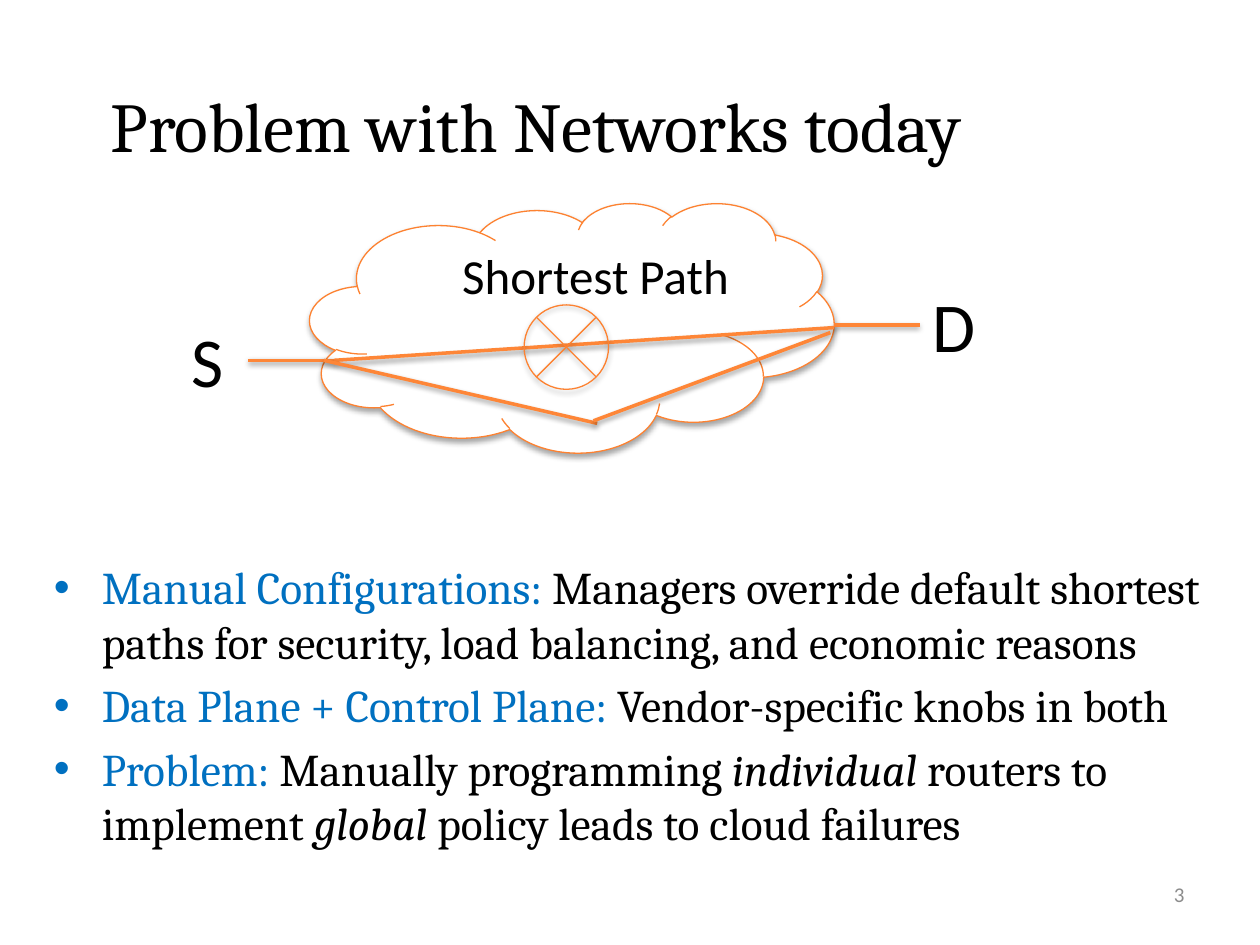
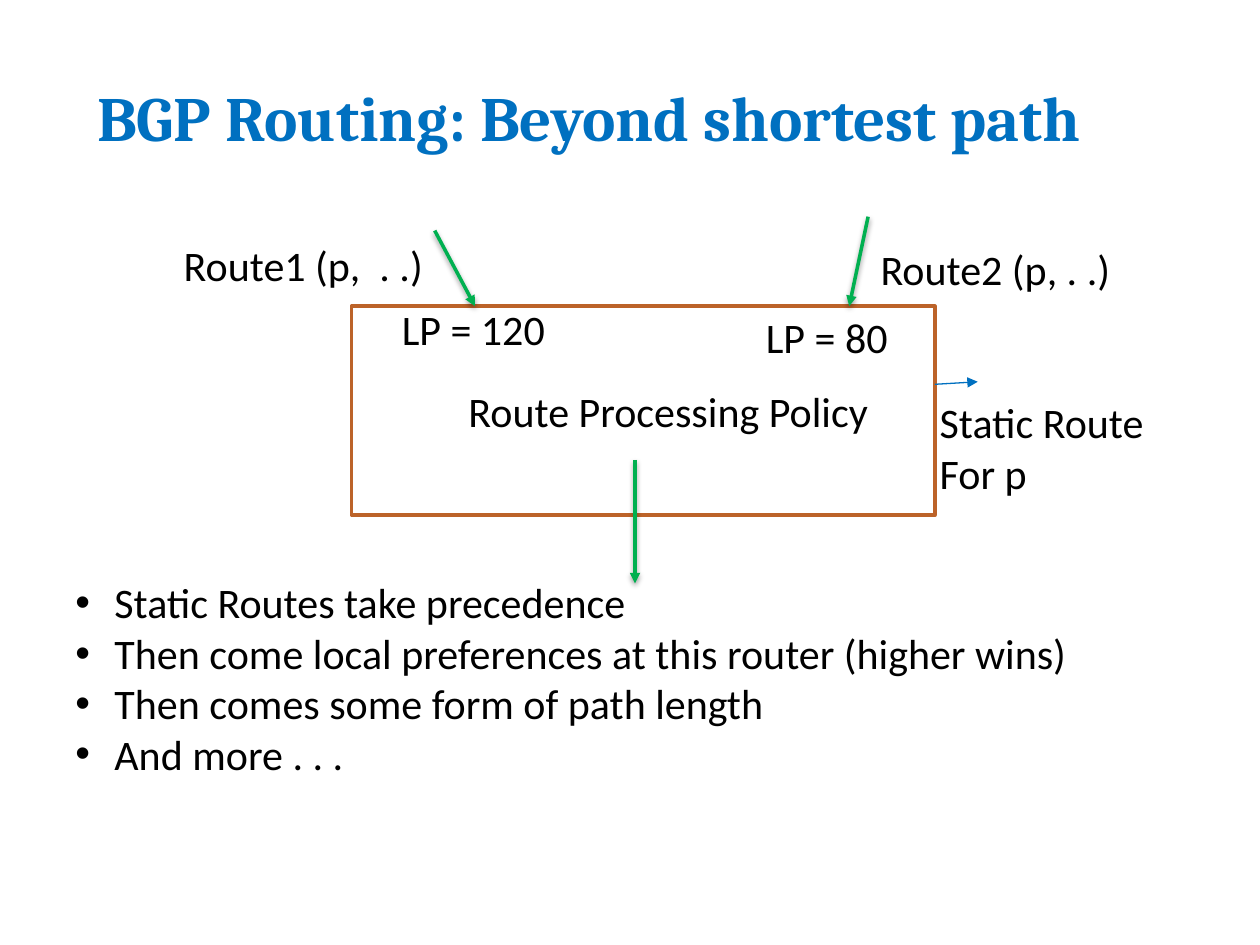
from lxml import etree
from pptx import Presentation
from pptx.dml.color import RGBColor
from pptx.enum.shapes import MSO_CONNECTOR, MSO_SHAPE
from pptx.enum.text import MSO_ANCHOR, PP_ALIGN
from pptx.oxml.ns import qn
from pptx.util import Inches, Pt

# Shared colours, fonts and enum members
BLACK = RGBColor(0x00, 0x00, 0x00)
WHITE = RGBColor(0xFF, 0xFF, 0xFF)
GREY = RGBColor(0x8C, 0x8C, 0x8C)
BLUE = RGBColor(0x00, 0x70, 0xC0)
GREEN = RGBColor(0x00, 0xB0, 0x50)
CLOUD_ORANGE = RGBColor(0xFD, 0x82, 0x31)
LINK_ORANGE = RGBColor(0xFE, 0x86, 0x37)
BROWN = RGBColor(0xBC, 0x63, 0x29)
SERIF, SANS = "Cambria", "Calibri"
STRAIGHT = MSO_CONNECTOR.STRAIGHT
CLOUD = MSO_SHAPE.CLOUD
JUNCTION = MSO_SHAPE.FLOWCHART_SUMMING_JUNCTION
RECTANGLE = MSO_SHAPE.RECTANGLE
LEFT, RIGHT = PP_ALIGN.LEFT, PP_ALIGN.RIGHT
TOP, MIDDLE = MSO_ANCHOR.TOP, MSO_ANCHOR.MIDDLE
TITLE_ONLY = 5

LABEL = {"name": SANS, "size": Pt(24), "color": BLACK}
HOST = {**LABEL, "size": Pt(40)}
CAPTION = {**LABEL, "size": Pt(28)}
NUMBER = {"name": SANS, "size": Pt(12), "color": GREY}
BODY = {"name": SERIF, "size": Pt(25.9), "color": BLACK}
KEY = {**BODY, "color": BLUE}
EMPHASIS = {**BODY, "italic": True}


# Formatting helpers
def format_font(font, style):
    for name, value in style.items():
        if name == "color":
            font.color.rgb = value
        else:
            setattr(font, name, value)


def add_run(paragraph, text, style):
    run = paragraph.add_run()
    run.text = text
    format_font(run.font, style)


def set_bullet(paragraph, indent):
    properties = paragraph._p.get_or_add_pPr()
    properties.set("marL", str(Inches(indent)))
    properties.set("indent", str(-Inches(indent)))
    etree.SubElement(properties, qn("a:buFont"), typeface="Arial")
    etree.SubElement(properties, qn("a:buChar"), char="•")


def add_shadow(effects, distance, opacity):
    shadow = etree.SubElement(effects, qn("a:outerShdw"), blurRad=str(Pt(3.1)),
                              dist=str(Pt(distance)), dir="5400000", rotWithShape="0")
    color = etree.SubElement(shadow, qn("a:srgbClr"), val=str(BLACK))
    etree.SubElement(color, qn("a:alpha"), val=str(opacity * 1000))


def add_text(slide, box, lines, wrap=False, anchor=TOP, align=LEFT, bullet=None, gap=0):
    """Each line is a list of (text, style) runs."""
    frame = slide.shapes.add_textbox(*map(Inches, box)).text_frame
    frame.word_wrap = wrap
    frame.vertical_anchor = anchor
    for index, runs in enumerate(lines):
        paragraph = frame.add_paragraph() if index else frame.paragraphs[0]
        paragraph.alignment = align
        if index and gap:
            paragraph.space_before = Pt(gap)
        if bullet:
            set_bullet(paragraph, bullet)
        for text, style in runs:
            add_run(paragraph, text, style)


def add_outline(slide, kind, box, color, width, fill=None, shadow=False):
    shape = slide.shapes.add_shape(kind, *map(Inches, box))
    shape.shadow.inherit = False
    if fill is None:
        shape.fill.background()
    else:
        shape.fill.solid()
        shape.fill.fore_color.rgb = fill
    shape.line.color.rgb = color
    shape.line.width = Pt(width)
    if shadow:
        add_shadow(shape._element.spPr.find(qn("a:effectLst")), 1.8, 35)


def add_line(slide, start, end, color, width=2, arrow=False, shadow=True):
    connector = slide.shapes.add_connector(STRAIGHT, *map(Inches, (*start, *end)))
    connector.line.color.rgb = color
    connector.line.width = Pt(width)
    properties = connector._element.spPr
    if arrow:
        etree.SubElement(properties.find(qn("a:ln")), qn("a:tailEnd"), type="triangle")
    effects = etree.SubElement(properties, qn("a:effectLst"))
    if shadow:
        add_shadow(effects, 1.6, 38)


def add_titled_slide(presentation, text, left, top, style):
    slide = presentation.slides.add_slide(presentation.slide_layouts[TITLE_ONLY])
    title = slide.shapes.title
    box = {"left": left, "top": top, "width": 8.83, "height": 1.25}
    for name, value in box.items():
        setattr(title, name, Inches(value))
    title.text_frame.vertical_anchor = MIDDLE
    paragraph = title.text_frame.paragraphs[0]
    paragraph.alignment = LEFT
    add_run(paragraph, text, {"name": SERIF, **style})
    return slide


# Slide regions
def draw_network(slide, left, top, width, height):
    def at(x, y):
        return left + x, top + y

    add_outline(slide, CLOUD, (left, top, width, height), CLOUD_ORANGE, 0.75, WHITE, True)
    # Links from the hosts to the cloud
    ingress, egress = at(0.19, 1.25), at(width, 0.97)
    add_line(slide, at(-0.49, 1.25), ingress, LINK_ORANGE)
    add_line(slide, egress, at(width + 0.68, 0.97), LINK_ORANGE)
    for text, position, size, style in (
        ("S", at(-1.04, 0.86), (0.46, 0.77), HOST),
        ("D", at(width + 0.68, 0.58), (0.55, 0.77), HOST),
        ("Shortest Path", at(1.11, 0.29), (2.34, 0.57), CAPTION),
    ):
        add_text(slide, position + size, [[(text, style)]])
    # Shortest path, then the two legs of the detour
    for start, end in (
        (ingress, at(width, 0.99)),
        (at(0.11, 1.25), at(2.28, 1.75)),
        (at(2.25, 1.73), at(width - 0.03, 1.03)),
    ):
        add_line(slide, start, end, LINK_ORANGE)
    add_outline(slide, JUNCTION, at(1.7, 0.81) + (0.67, 0.67), CLOUD_ORANGE, 0.75, shadow=True)


def draw_router(slide, left, top, width, height):
    def at(x, y):
        return left + x, top + y

    add_outline(slide, RECTANGLE, (left, top, width, height), BROWN, 2)
    # Routes in and the chosen route out
    for start, end in (
        (at(0.66, -0.6), at(0.98, 0)),
        (at(4.1, -0.71), at(3.95, 0)),
        (at(2.25, 1.22), at(2.25, 2.2)),
    ):
        add_line(slide, start, end, GREEN, arrow=True)
    add_line(slide, at(width, 0.62), at(width + 0.34, 0.6), BLUE, 0.75, True, False)
    # Labels
    for lines, position, size in (
        (["Route1 (p,  . .)"], at(-1.43, -0.58), (2.19, 0.5)),
        (["Route2 (p, . .)"], at(4.1, -0.55), (2.11, 0.5)),
        (["LP = 120"], at(0.3, -0.07), (1.35, 0.5)),
        (["LP = 80"], at(3.19, -0.01), (1.18, 0.5)),
        (["Route Processing Policy"], at(0.83, 0.58), (3.4, 0.5)),
        (["Static Route", "For p"], at(4.57, 0.67), (1.84, 0.91)),
    ):
        add_text(slide, position + size, [[(line, LABEL)] for line in lines])


# Slides
def build_problem_slide(presentation):
    slide = add_titled_slide(presentation, "Problem with Networks today", 0.78, 0.36,
                             {"size": Pt(40), "color": BLACK})
    add_text(slide, (7.17, 6.9, 2.33, 0.4), [[("3", NUMBER)]],
             wrap=True, anchor=MIDDLE, align=RIGHT)
    points = [
        [("Manual Configurations: ", KEY),
         ("Managers override default shortest paths for security, "
          "load balancing, and economic reasons", BODY)],
        [("Data Plane + Control Plane: ", KEY), ("Vendor-specific knobs in both", BODY)],
        [("Problem: ", KEY), ("Manually programming ", BODY), ("individual", EMPHASIS),
         (" routers to implement ", BODY), ("global", EMPHASIS),
         (" policy leads to cloud failures", BODY)],
    ]
    add_text(slide, (0.33, 4.39, 9.67, 2.41), points, wrap=True, bullet=0.38, gap=5.2)
    draw_network(slide, 2.46, 1.61, 4.16, 1.98)


def build_routing_slide(presentation):
    slide = add_titled_slide(presentation, "BGP Routing: Beyond shortest path", 0.67, 0.3,
                             {"size": Pt(36), "color": BLUE, "bold": True})
    draw_router(slide, 2.79, 2.43, 4.63, 1.66)
    rules = [
        "Static Routes take precedence",
        "Then come local preferences at this router (higher wins)",
        "Then comes some form of path length",
        "And more . . .",
    ]
    add_text(slide, (0.5, 4.53, 9.15, 1.72), [[(rule, LABEL)] for rule in rules],
             wrap=True, bullet=0.31)


def main():
    presentation = Presentation()
    presentation.slide_width = Inches(10)
    presentation.slide_height = Inches(7.5)
    build_problem_slide(presentation)
    build_routing_slide(presentation)
    presentation.save("out.pptx")


if __name__ == "__main__":
    main()
